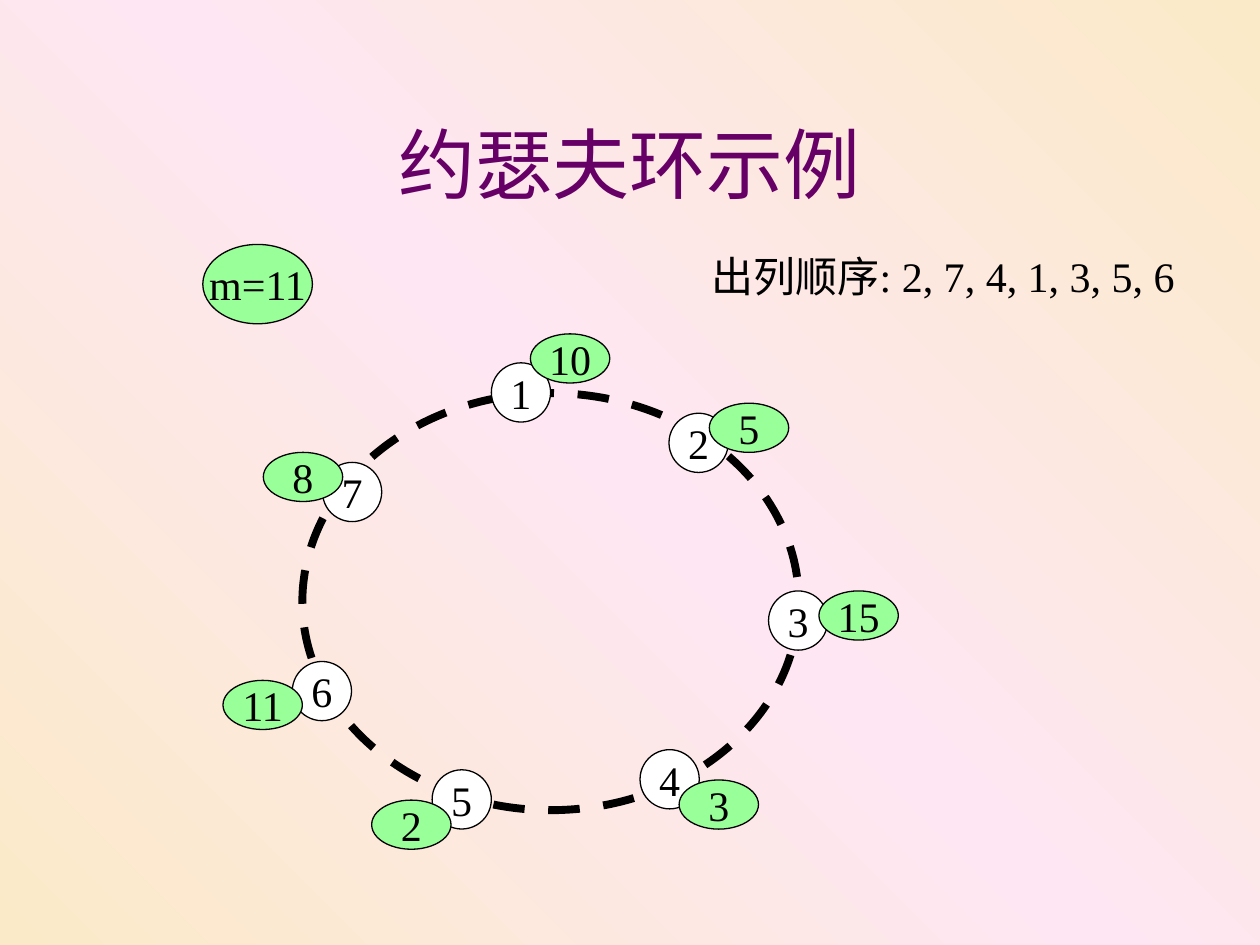
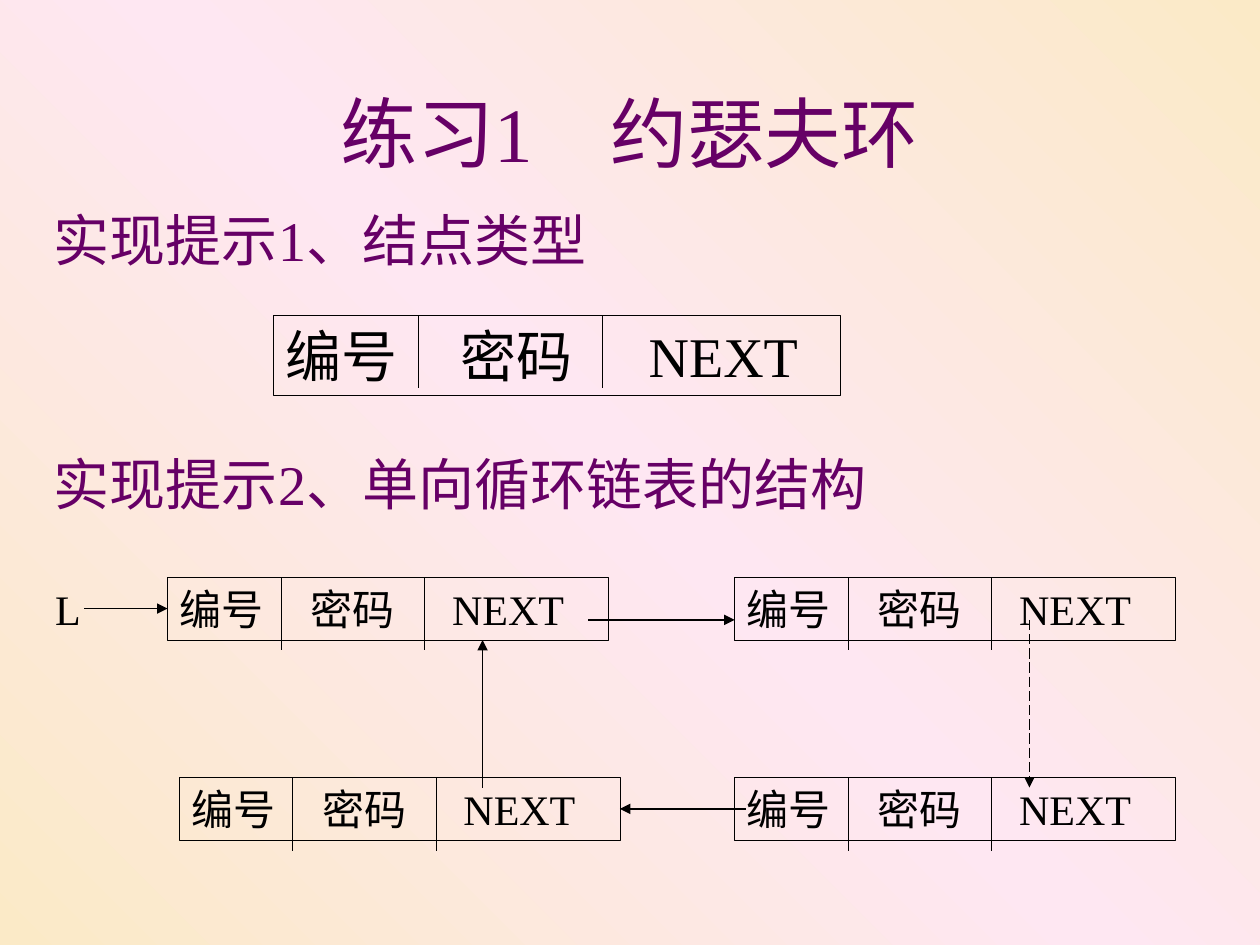
from copy import deepcopy

from lxml import etree
from pptx import Presentation
from pptx.dml.color import RGBColor
from pptx.enum import dml, shapes, text
from pptx.oxml import ns
from pptx.util import Inches, Pt

FONT = "Times New Roman"
COLORS = {
    "ink": "000000",
    "title": "660066",
    "node": "FFFFFF",
    "code": "99FF99",
    "edge": "FBEAC7",
    "middle": "FEE7F2",
}
FIELDS = "编号\t密码\tNEXT"
HAIRLINE = 0.25
THIN = 0.75


def rgb(name):
    return RGBColor.from_string(COLORS[name])


def inches(*values):
    return [Inches(value) for value in values]


def add_span(para, words, size, color="ink"):
    span = para.add_run()
    span.text = words
    span.font.name = FONT
    span.font.size = Pt(size)
    span.font.color.rgb = rgb(color)
    return span


def paint_background(master):
    """Give every slide the diagonal three-stop gradient."""
    fill = master.background.fill
    fill.gradient()
    fill.gradient_angle = 225
    stop_list = master.element.find(".//" + ns.qn("a:gsLst"))
    stop_list.append(deepcopy(stop_list[0]))
    for stop, position, name in zip(
        fill.gradient_stops, (0, 0.5, 1), ("edge", "middle", "edge")
    ):
        stop.position = position
        stop.color.rgb = rgb(name)


def add_titled_slide(deck, height):
    """Return a title-only slide and the centred title paragraph."""
    slide = deck.slides.add_slide(deck.slide_layouts[5])
    title = slide.shapes.title
    title.left, title.top, title.width, title.height = inches(0.75, 0.67, 8.49, height)
    frame = title.text_frame
    frame.auto_size = text.MSO_AUTO_SIZE.NONE
    frame.vertical_anchor = text.MSO_ANCHOR.MIDDLE
    para = frame.paragraphs[0]
    para.alignment = text.PP_ALIGN.CENTER
    return slide, para


def add_label(slide, place, words, size, color="ink", wrap=True):
    box = slide.shapes.add_textbox(*inches(*place))
    box.text_frame.word_wrap = wrap
    add_span(box.text_frame.paragraphs[0], words, size, color)


def add_outline(slide, kind, place, fill=None, width=THIN):
    shape = slide.shapes.add_shape(kind, *inches(*place))
    shape.shadow.inherit = False
    if fill:
        shape.fill.solid()
        shape.fill.fore_color.rgb = rgb(fill)
    else:
        shape.fill.background()
    shape.line.color.rgb = rgb("ink")
    shape.line.width = Pt(width)
    return shape


def add_oval(slide, place, words, fill):
    oval = add_outline(slide, shapes.MSO_SHAPE.OVAL, place, fill)
    frame = oval.text_frame
    frame.word_wrap = False
    frame.vertical_anchor = text.MSO_ANCHOR.MIDDLE
    para = frame.paragraphs[0]
    para.alignment = text.PP_ALIGN.CENTER
    add_span(para, words, 24)


def add_line(slide, start, end, width=THIN, arrow=False):
    line = slide.shapes.add_connector(
        shapes.MSO_CONNECTOR.STRAIGHT, *inches(*start, *end)
    )
    line.line.color.rgb = rgb("ink")
    line.line.width = Pt(width)
    if arrow:
        tail = etree.SubElement(line.line._get_or_add_ln(), ns.qn("a:tailEnd"))
        tail.set("type", "triangle")
    etree.SubElement(line._element.spPr, ns.qn("a:effectLst"))
    return line


def add_record(slide, place, size, dividers):
    """Draw a list node of three fields; tab stops grow with the text size."""
    left, top = place[:2]
    box = add_outline(slide, shapes.MSO_SHAPE.RECTANGLE, place, width=HAIRLINE)
    frame = box.text_frame
    frame.word_wrap = True
    frame.vertical_anchor = text.MSO_ANCHOR.TOP
    para = frame.paragraphs[0]
    para.alignment = text.PP_ALIGN.LEFT
    tabs = etree.SubElement(para._p.get_or_add_pPr(), ns.qn("a:tabLst"))
    for share in (1.04 / 24, 2.16 / 24):
        etree.SubElement(
            tabs, ns.qn("a:tab"), pos=str(Inches(size * share)), algn="l"
        )
    add_span(para, FIELDS, size)
    for offset in dividers:
        x = left + offset
        add_line(slide, (x, top), (x, top + 0.58), HAIRLINE)
    return box


def add_ring(slide, left, top):
    """Draw the dashed circle with its numbered people and their codes."""
    ring = add_outline(
        slide, shapes.MSO_SHAPE.OVAL, (left, top, 3.94, 3.31), width=4.5
    )
    ring.line.dash_style = dml.MSO_LINE.DASH
    people = [  # code, offset of the person, offset of the code
        ("10", (1.5, -0.24), (1.81, -0.47)),
        ("5", (2.91, 0.16), (3.23, 0.08)),
        ("15", (3.7, 1.57), (4.1, 1.57)),
        ("3", (2.68, 2.83), (2.99, 3.07)),
        ("2", (1.03, 2.99), (0.55, 3.23)),
        ("11", (-0.08, 2.13), (-0.63, 2.28)),
        ("8", (0.16, 0.55), (-0.31, 0.47)),
    ]
    for number, (code, person, badge) in enumerate(people, 1):
        add_oval(slide, (left + person[0], top + person[1], 0.47, 0.47),
                 str(number), "node")
        add_oval(slide, (left + badge[0], top + badge[1], 0.63, 0.39), code, "code")


def add_linked_list(slide, left, top):
    """Draw four records linked in a circle, entered from L."""
    corners = [(0.99, 0), (5.49, 0), (5.49, 1.59), (1.08, 1.59)]
    first, second, third, last = [
        add_record(slide, (left + x, top + y, 3.5, 0.5), 24, (0.9, 2.04))
        for x, y in corners
    ]

    def arrow(start, end):
        return add_line(slide, (left + start[0], top + start[1]),
                        (left + end[0], top + end[1]), arrow=True)

    arrow((0.33, 0.25), (0.99, 0.25)).end_connect(first, 1)
    arrow((4.33, 0.34), (5.49, 0.34))
    arrow((7.83, 0.34), (7.83, 1.67)).line.dash_style = dml.MSO_LINE.LONG_DASH
    arrow((5.58, 1.84), (4.58, 1.84)).end_connect(last, 3)
    arrow((3.49, 1.67), (3.49, 0.5))
    add_label(slide, (left, top, 0.4, 0.5), "L", 24, wrap=False)


def build_example(deck):
    slide, title = add_titled_slide(deck, 1.24)
    add_span(title, "约瑟夫环示例", 44, "title")
    add_ring(slide, 2.4, 3.12)
    add_oval(slide, (1.61, 1.94, 0.87, 0.63), "m=11", "code")
    add_label(slide, (5.55, 1.94, 4.17, 0.5), "出列顺序: 2, 7, 4, 1, 3, 5, 6", 24)


def build_hints(deck):
    slide, title = add_titled_slide(deck, 0.75)
    add_span(title, "练习1", 44, "title")
    gap = add_span(title, " ", 44, "title")
    gap.font._element.set("spc", "3300")
    add_span(title, "约瑟夫环", 44, "title")
    hints = ["实现提示1、结点类型", "实现提示2、单向循环链表的结构"]
    for row, hint in enumerate(hints):
        add_label(slide, (0.33, 1.58 + 1.94 * row, 9.08, 0.64), hint, 32, "title")
    add_record(slide, (2.17, 2.5, 4.5, 0.64), 32, (1.15, 2.61))
    add_linked_list(slide, 0.34, 4.58)


def main():
    deck = Presentation()
    deck.slide_width, deck.slide_height = inches(10, 7.5)
    paint_background(deck.slide_master)
    build_example(deck)
    build_hints(deck)
    deck.save("out.pptx")


if __name__ == "__main__":
    main()
